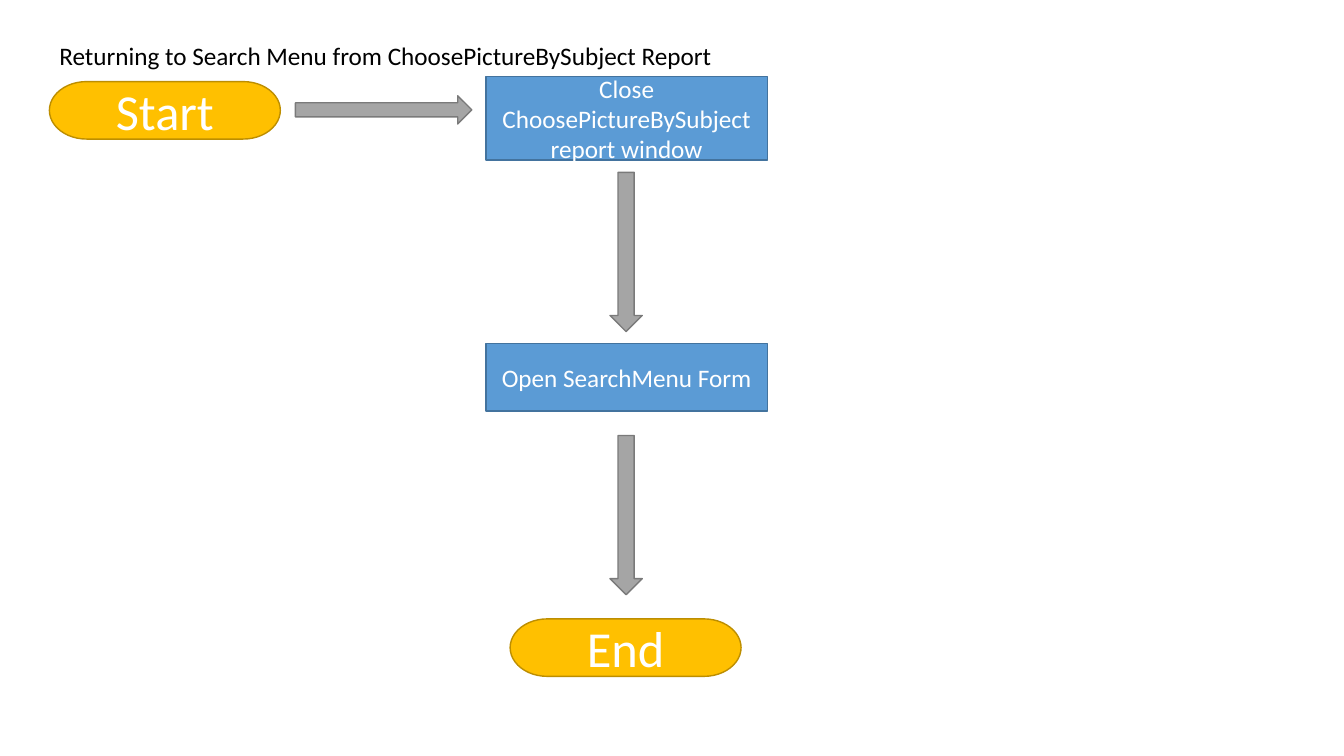
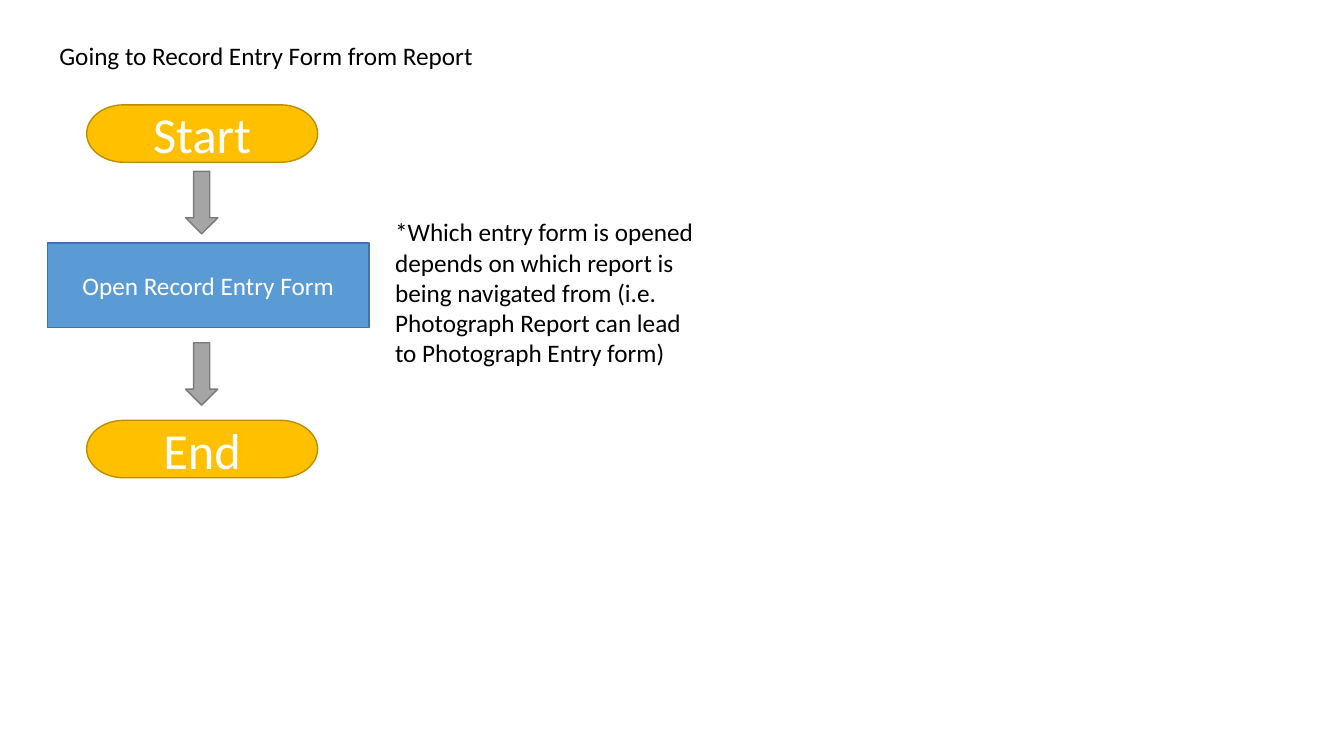
from pptx import Presentation
from pptx.dml.color import RGBColor
from pptx.enum.shapes import MSO_SHAPE as SHAPE
from pptx.enum.text import MSO_ANCHOR, MSO_AUTO_SIZE, PP_ALIGN
from pptx.util import Inches, Pt

WHITE = RGBColor(0xFF, 0xFF, 0xFF)
BLACK = RGBColor(0x00, 0x00, 0x00)
GOLD, GOLD_EDGE = RGBColor(0xFF, 0xC0, 0x00), RGBColor(0xBD, 0x8E, 0x00)
BLUE, BLUE_EDGE = RGBColor(0x5B, 0x9B, 0xD5), RGBColor(0x43, 0x73, 0x9E)
GRAY, GRAY_EDGE = RGBColor(0xA5, 0xA5, 0xA5), RGBColor(0x7A, 0x7A, 0x7A)

# kind: preset shape, fill, outline, text size
STYLES = {
    "terminal": (SHAPE.FLOWCHART_TERMINATOR, GOLD, GOLD_EDGE, 36),
    "process": (SHAPE.RECTANGLE, BLUE, BLUE_EDGE, 18),
    "right": (SHAPE.RIGHT_ARROW, GRAY, GRAY_EDGE, 18),
    "down": (SHAPE.DOWN_ARROW, GRAY, GRAY_EDGE, 18),
}
TERMINAL = (2.29, 0.57)
STEP_W = 2.79
ARROW_W = 0.32

# Each flow step: kind, left, top, (width, height), text
SLIDES = [
    {
        "title": "Returning to Search Menu from ChoosePictureBySubject Report",
        "title_width": 6.75,
        "steps": [
            ("terminal", 0.49, 0.81, TERMINAL, "Start"),
            ("right", 2.93, 0.95, (1.75, 0.28), ""),
            ("process", 4.82, 0.76, (STEP_W, 0.83),
             "Close ChoosePictureBySubject report window"),
            ("down", 6.05, 1.71, (ARROW_W, 1.58), ""),
            ("process", 4.82, 3.41, (STEP_W, 0.67), "Open SearchMenu Form"),
            ("down", 6.05, 4.32, (ARROW_W, 1.58), ""),
            ("terminal", 5.06, 6.14, TERMINAL, "End"),
        ],
        "note": "",
    },
    {
        "title": "Going to Record Entry Form from Report",
        "title_width": 4.35,
        "steps": [
            ("terminal", 0.86, 1.04, TERMINAL, "Start"),
            ("down", 1.84, 1.7, (ARROW_W, 0.62), ""),
            ("process", 0.47, 2.41, (3.19, 0.84), "Open Record Entry Form"),
            ("down", 1.84, 3.4, (ARROW_W, 0.62), ""),
            ("terminal", 0.86, 4.17, TERMINAL, "End"),
        ],
        "note": "*Which entry form is opened depends on which report is being "
                "navigated from (i.e. Photograph Report can lead to "
                "Photograph Entry form)",
    },
]


def write(sp, text, size=18, color=BLACK, align=PP_ALIGN.LEFT,
          anchor=MSO_ANCHOR.TOP, wrap=True, auto_size=MSO_AUTO_SIZE.NONE):
    tf = sp.text_frame
    tf.word_wrap = wrap
    tf.auto_size = auto_size
    tf.vertical_anchor = anchor
    p = tf.paragraphs[0]
    p.alignment = align
    r = p.add_run()
    r.text = text
    r.font.name = "Calibri"
    r.font.size = Pt(size)
    r.font.color.rgb = color


def add_step(s, kind, left, top, size, text):
    preset, fill, edge, text_size = STYLES[kind]
    sp = s.shapes.add_shape(preset, Inches(left), Inches(top),
                            Inches(size[0]), Inches(size[1]))
    sp.shadow.inherit = False
    sp.fill.solid()
    sp.fill.fore_color.rgb = fill
    sp.line.color.rgb = edge
    sp.line.width = Pt(1)
    if text:
        write(sp, text, size=text_size, color=WHITE, align=PP_ALIGN.CENTER,
              anchor=MSO_ANCHOR.MIDDLE)


prs = Presentation()
prs.slide_width, prs.slide_height = Inches(13.33), Inches(7.5)

for flow in SLIDES:
    s = prs.slides.add_slide(prs.slide_layouts[6])
    for step in flow["steps"]:
        add_step(s, *step)
    title = s.shapes.add_textbox(Inches(0.49), Inches(0.35),
                                 Inches(flow["title_width"]), Inches(0.4))
    write(title, flow["title"], wrap=False,
          auto_size=MSO_AUTO_SIZE.SHAPE_TO_FIT_TEXT)
    if flow["note"]:
        note = s.shapes.add_textbox(Inches(3.82), Inches(2.1),
                                    Inches(3.3), Inches(1.62))
        write(note, flow["note"], auto_size=MSO_AUTO_SIZE.SHAPE_TO_FIT_TEXT)

prs.save("out.pptx")
